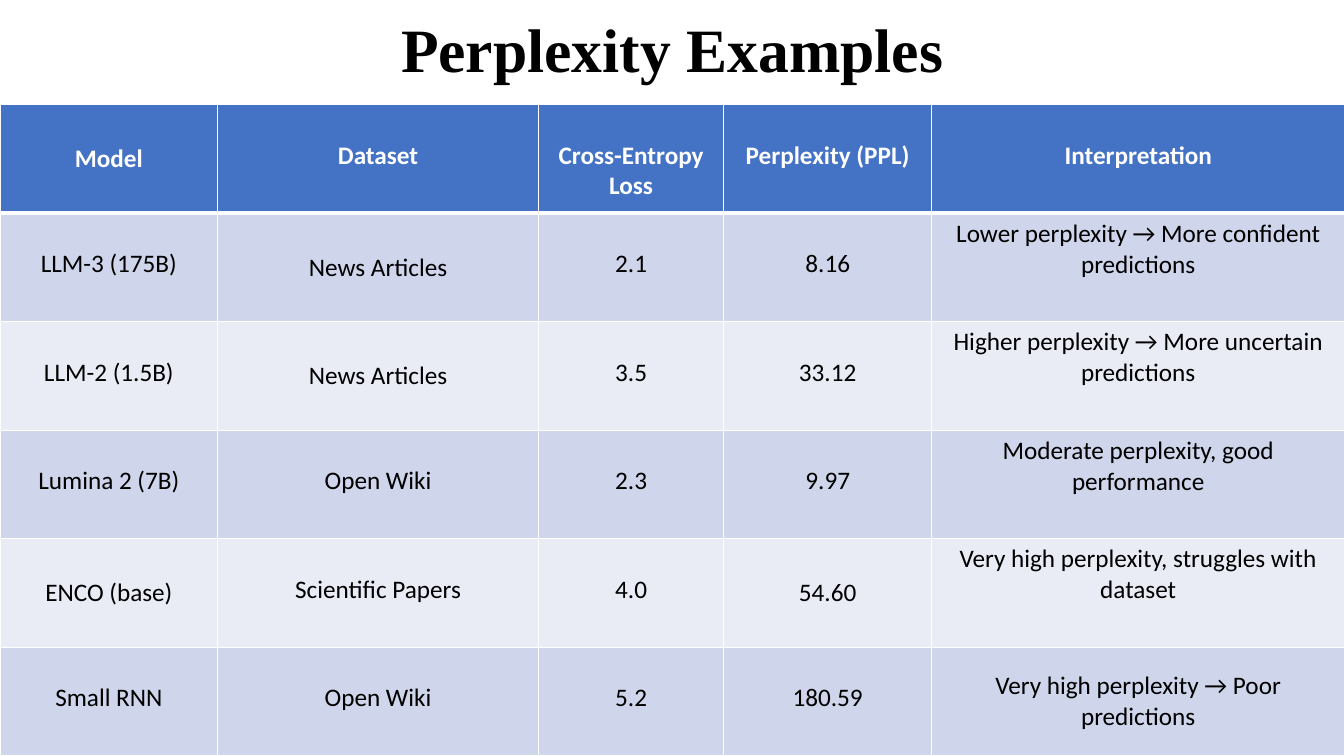
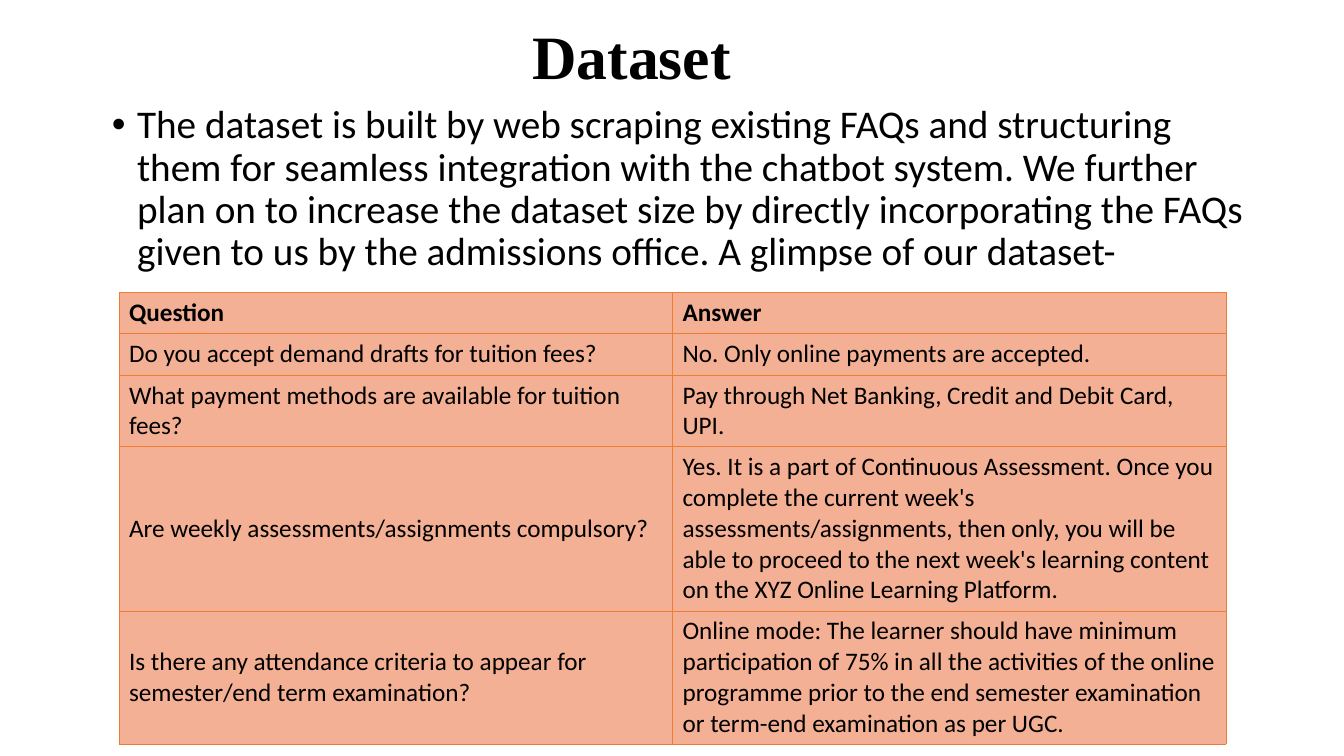
from dataclasses import dataclass

from lxml.etree import SubElement
from pptx import Presentation
from pptx.dml.color import RGBColor as RGB
from pptx.enum.text import MSO_ANCHOR as Anchor, MSO_AUTO_SIZE as Fit, PP_ALIGN as Align
from pptx.oxml.ns import qn
from pptx.util import Inches, Pt


@dataclass(frozen=True)
class Theme:
    serif: str = "Times New Roman"
    sans: str = "Calibri"
    title: int = 44
    body: int = 28
    cell: int = 18
    black: str = "000000"
    white: str = "FFFFFF"
    blue: str = "4472C4"
    bands: tuple = ("CFD5EA", "E9EBF5")
    peach: str = "F4B094"
    orange: str = "ED7D31"


T = Theme()

SCORES = [
    ("Model", "Dataset", "Cross-Entropy Loss", "Perplexity (PPL)", "Interpretation"),
    ("LLM-3 (175B)", "News Articles", "2.1", "8.16",
     "Lower perplexity → More confident predictions"),
    ("LLM-2 (1.5B)", "News Articles", "3.5", "33.12",
     "Higher perplexity → More uncertain predictions"),
    ("Lumina 2 (7B)", "Open Wiki", "2.3", "9.97", "Moderate perplexity, good performance"),
    ("ENCO (base)", "Scientific Papers", "4.0", "54.60",
     "Very high perplexity, struggles with dataset"),
    ("Small RNN", "Open Wiki", "5.2", "180.59", "Very high perplexity → Poor predictions"),
]
SCORE_COLS = (2.16, 3.18, 1.84, 2.06, 4.1)
CENTRED = {(0, 0), (1, 1), (2, 1), (4, 0), (4, 3), (5, 4)}  # row, column
DROP = 0.35  # top margin of the cells that are not centred

INTRO = (
    "The dataset is built by web scraping existing FAQs and structuring them for seamless "
    "integration with the chatbot system. We further plan on to increase the dataset size by "
    "directly incorporating the FAQs given to us by the admissions office. "
    "A glimpse of our dataset-"
)
FAQS = [
    ("Question", "Answer"),
    ("Do you accept demand drafts for tuition fees?", "No. Only online payments are accepted."),
    ("What payment methods are available for tuition fees?",
     "Pay through Net Banking, Credit and Debit Card, UPI."),
    ("Are weekly assessments/assignments compulsory?",
     "Yes. It is a part of Continuous Assessment. Once you complete the current week's "
     "assessments/assignments, then only, you will be able to proceed to the next week's "
     "learning content on the XYZ Online Learning Platform."),
    ("Is there any attendance criteria to appear for semester/end term examination?",
     "Online mode: The learner should have minimum participation of 75% in all the activities "
     "of the online programme prior to the end semester examination or term-end examination "
     "as per UGC."),
]
FAQ_COLS = (5.49, 5.49)
FAQ_ROWS = (0.41, 0.41, 0.7, 1.63, 1.32)


def style(para, font, size, color=T.black, bold=False, align=Align.LEFT):
    para.alignment = align
    para.font.name, para.font.size, para.font.bold = font, Pt(size), bold
    para.font.color.rgb = RGB.from_string(color)


def indent(para, left, first=0):
    props = para._p.get_or_add_pPr()
    props.set("marL", str(Inches(left)))
    props.set("indent", str(Inches(first)))


def fill_holder(holder, text, box):
    """Place a placeholder, set its text and return its paragraph."""
    holder.left, holder.top, holder.width, holder.height = map(Inches, box)
    frame = holder.text_frame
    frame.text, frame.auto_size = text, Fit.NONE
    para = frame.paragraphs[0]
    para.line_spacing = 0.9
    return para


def add_title(slide, text, box, align=Align.LEFT):
    para = fill_holder(slide.shapes.title, text, box)
    slide.shapes.title.text_frame.vertical_anchor = Anchor.MIDDLE
    style(para, T.serif, T.title, bold=True, align=align)
    return para


def add_edges(cell, color, top, bottom, side):
    props = cell._tc.get_or_add_tcPr()
    for tag, width in (("L", side), ("R", side), ("T", top), ("B", bottom)):
        line = SubElement(props, qn(f"a:ln{tag}"), w=str(Pt(width)))
        fill = SubElement(line, qn("a:solidFill"))
        SubElement(fill, qn("a:srgbClr"), val=color)


def add_grid(slide, data, left, top, cols, rows, format_cell):
    """Add a table; format_cell(cell, row, col) finishes each cell."""
    shape = slide.shapes.add_table(len(rows), len(cols), Inches(left), Inches(top),
                                   Inches(sum(cols)), Inches(sum(rows)))
    table = shape.table
    table.first_row = table.horz_banding = False
    for col, width in zip(table.columns, cols):
        col.width = Inches(width)
    for row, height in zip(table.rows, rows):
        row.height = Inches(height)
    for r, texts in enumerate(data):
        for c, text in enumerate(texts):
            cell = table.cell(r, c)
            cell.text = text
            format_cell(cell, r, c)


def paint(cell, color):
    cell.fill.solid()
    cell.fill.fore_color.rgb = RGB.from_string(color)


def format_score(cell, r, c):
    head = r == 0
    add_edges(cell, T.white, 3 if r == 1 else 1, 3 if head else 1, 1)
    paint(cell, T.blue if head else T.bands[(r - 1) % 2])
    style(cell.text_frame.paragraphs[0], T.sans, T.cell,
          T.white if head else T.black, head, Align.CENTER)
    if (r, c) in CENTRED:
        cell.vertical_anchor = Anchor.MIDDLE
    elif head or c < len(SCORE_COLS) - 1:
        cell.margin_top = Inches(DROP)


def format_faq(cell, r, c):
    add_edges(cell, T.orange, 0.5, 0.5, 0.5)
    paint(cell, T.peach)
    cell.vertical_anchor = Anchor.MIDDLE
    style(cell.text_frame.paragraphs[0], T.sans, T.cell, bold=r == 0)


def add_scores(deck):
    slide = deck.slides.add_slide(deck.slide_layouts[5])
    add_title(slide, "Perplexity Examples", (0.92, -0.63, 11.5, 2.3), Align.CENTER)
    rows = [6.46 / len(SCORES)] * len(SCORES)
    add_grid(slide, SCORES, 0, 1.04, SCORE_COLS, rows, format_score)


def add_faqs(deck):
    slide = deck.slides.add_slide(deck.slide_layouts[1])
    indent(add_title(slide, "Dataset", (1.18, -0.13, 11.5, 1.45)), 4)
    para = fill_holder(slide.placeholders[1], INTRO, (1.01, 0.99, 11.5, 4.76))
    style(para, T.sans, T.body)
    para.space_before = Pt(10)
    indent(para, 0.25, -0.25)
    add_grid(slide, FAQS, 1.18, 2.9, FAQ_COLS, FAQ_ROWS, format_faq)


def main():
    deck = Presentation()
    deck.slide_width, deck.slide_height = Inches(13.33), Inches(7.5)
    add_scores(deck)
    add_faqs(deck)
    deck.save("out.pptx")


if __name__ == "__main__":
    main()
